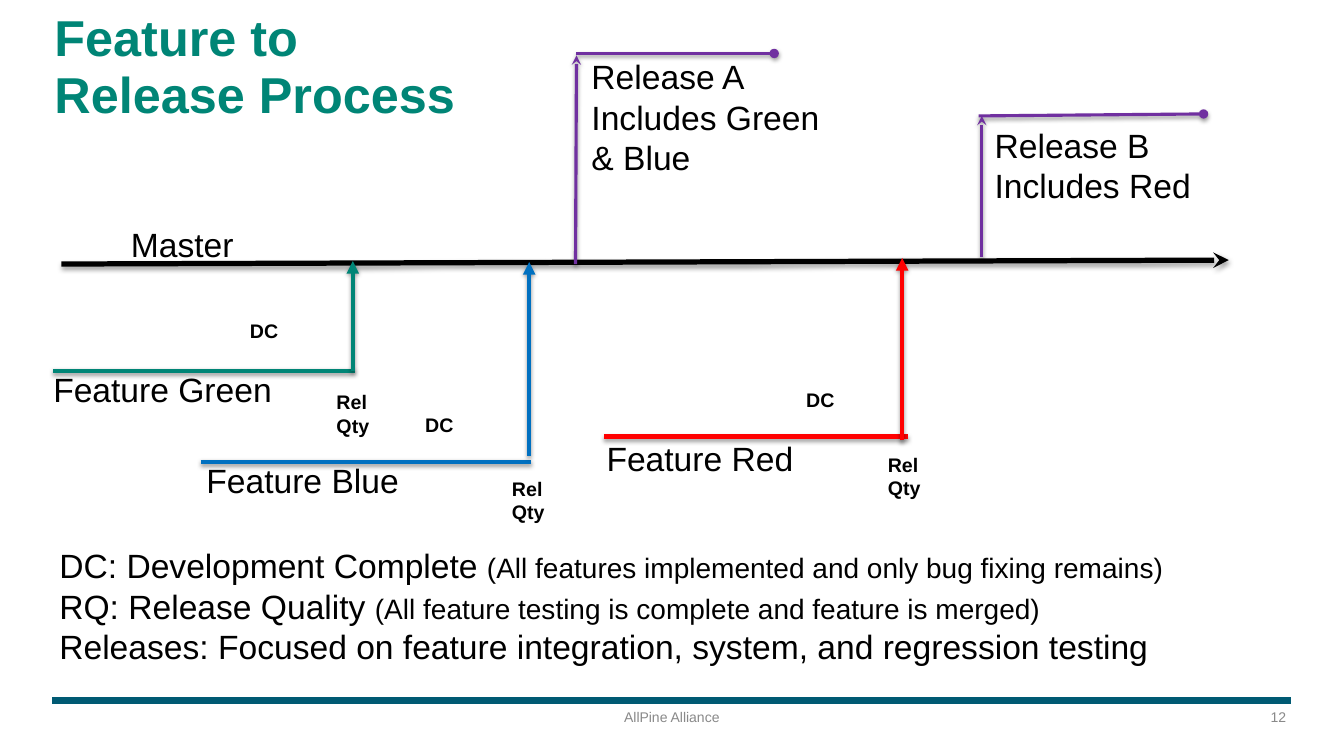
"""Build the Feature to Release Process slide."""
import pptx
import pptx.dml.color
import pptx.enum.shapes
import pptx.enum.text
import pptx.oxml
import pptx.oxml.ns
import pptx.util

Pt = pptx.util.Pt
ALIGN = pptx.enum.text.PP_ALIGN
ANCHOR = pptx.enum.text.MSO_ANCHOR
NAMESPACE = pptx.oxml.ns.nsdecls("a")
SHADOW = (
    '<a:outerShdw blurRad="39370" dist="20320" dir="5400000" rotWithShape="0">'
    '<a:srgbClr val="000000"><a:alpha val="38000"/></a:srgbClr></a:outerShdw>'
)
BLACK, TEAL, PURPLE, GRAY = "000000", "008576", "7030A0", "898989"

presentation = pptx.Presentation()
presentation.slide_width = Pt(960)
presentation.slide_height = Pt(540)
slide = presentation.slides.add_slide(presentation.slide_layouts[6])


def add_line(start, end, color, width, tail=None, shadow=SHADOW):
    connector = slide.shapes.add_connector(
        pptx.enum.shapes.MSO_CONNECTOR.STRAIGHT, *map(Pt, start + end))
    connector.line.color.rgb = pptx.dml.color.RGBColor.from_string(color)
    connector.line.width = Pt(width)
    if tail:
        connector.line._get_or_add_ln().append(
            pptx.oxml.parse_xml(f'<a:tailEnd {NAMESPACE} type="{tail}"/>'))
    connector._element.spPr.append(
        pptx.oxml.parse_xml(f"<a:effectLst {NAMESPACE}>{shadow}</a:effectLst>"))


def add_text(box, paragraphs, size, color=BLACK, bold=False, align=ALIGN.LEFT,
             anchor=ANCHOR.TOP, insets=(7.2, 3.6), wrap=False, spacing=1.0):
    frame = slide.shapes.add_textbox(*map(Pt, box)).text_frame
    frame.word_wrap = wrap
    frame.vertical_anchor = anchor
    frame.margin_left = frame.margin_right = Pt(insets[0])
    frame.margin_top = frame.margin_bottom = Pt(insets[1])
    for index, runs in enumerate(paragraphs):
        paragraph = frame.add_paragraph() if index else frame.paragraphs[0]
        paragraph.alignment = align
        paragraph.line_spacing = spacing
        for text, run_size in [(runs, size)] if isinstance(runs, str) else runs:
            run = paragraph.add_run()
            run.text = text
            run.font.name = "Arial"
            run.font.size = Pt(run_size)
            run.font.bold = bold
            run.font.color.rgb = pptx.dml.color.RGBColor.from_string(color)


add_line((37.4, 500.4), (922.3, 500.4), "005A73", 5.5, shadow="")
for left, text, align in [(361.4, "AllPine Alliance", ALIGN.CENTER),
                          (685.4, "12", ALIGN.RIGHT)]:
    add_text((left, 502.6, 236.9, 19.4), [text], 10, GRAY, align=align,
             insets=(3.6, 3.6), wrap=True)

add_text((35.3, 13.7, 884.9, 79.2), ["Feature to", "Release Process"], 36, TEAL,
         bold=True, anchor=ANCHOR.BOTTOM, insets=(3.6, 3.6), wrap=True, spacing=0.95)

add_line((43.9, 188.6), (877.7, 185.8), BLACK, 3.75, "stealth")
add_text((86.4, 156.2, 88.6, 36), ["Master"], 24)

features = [
    ("Feature Green", TEAL, (38, 253.4, 265), (252, 265, 186.5),
     (31, 260, 172), (171.4, 224.6), (233.3, 275)),
    ("Feature Blue", "0070C0", (143.3, 379.4, 329.8), (378, 325.4, 187.2),
     (140.4, 324.7, 153.4), (296.6, 291.6), (358.6, 337)),
    ("Feature Red", "FF0000", (431.3, 648.7, 311.8), (644.4, 314.6, 184.3),
     (426.2, 309.6, 149), (568.8, 273.6), (627.1, 319.7)),
]
for name, color, branch, merge, label, complete, quality in features:
    branch_left, branch_right, branch_y = branch
    merge_x, merge_bottom, merge_top = merge
    add_line((branch_left, branch_y), (branch_right, branch_y), color, 3)
    add_line((merge_x, merge_bottom), (merge_x, merge_top), color, 3, "triangle")
    add_text((*label, 36), [name], 24)
    add_text((*complete, 35.3, 24.5), ["DC"], 14, bold=True)
    add_text((*quality, 38.2, 41), ["Rel", "Qty"], 14, bold=True)

releases = [
    ((411.1, 188.6), (411.8, 39.6), (411.8, 38.2), (553, 38.2),
     (415.4, 36.7, 185.8, 94.3), ["Release A", "Includes Green", "& Blue"]),
    ((701.3, 183.6), (701.3, 82.8), (699.1, 82.8), (859.7, 81.4),
     (703.4, 85.7, 156.2, 65.5), ["Release B", "Includes Red"]),
]
for fork, arrow_tip, branch_start, branch_end, box, lines in releases:
    add_line(branch_start, branch_end, PURPLE, 2.25, "oval")
    add_line(fork, arrow_tip, PURPLE, 2.25, "stealth")
    add_text(box, lines, 24)

add_text((35.3, 385.9, 863.3, 94.3), [
    [("DC: Development Complete ", 24),
     ("(All features implemented and only bug fixing remains)", 20)],
    [("RQ: Release Quality ", 24),
     ("(All feature testing is complete and feature is merged)", 20)],
    "Releases: Focused on feature integration, system, and regression testing",
], 24, wrap=True)

presentation.save("out.pptx")
